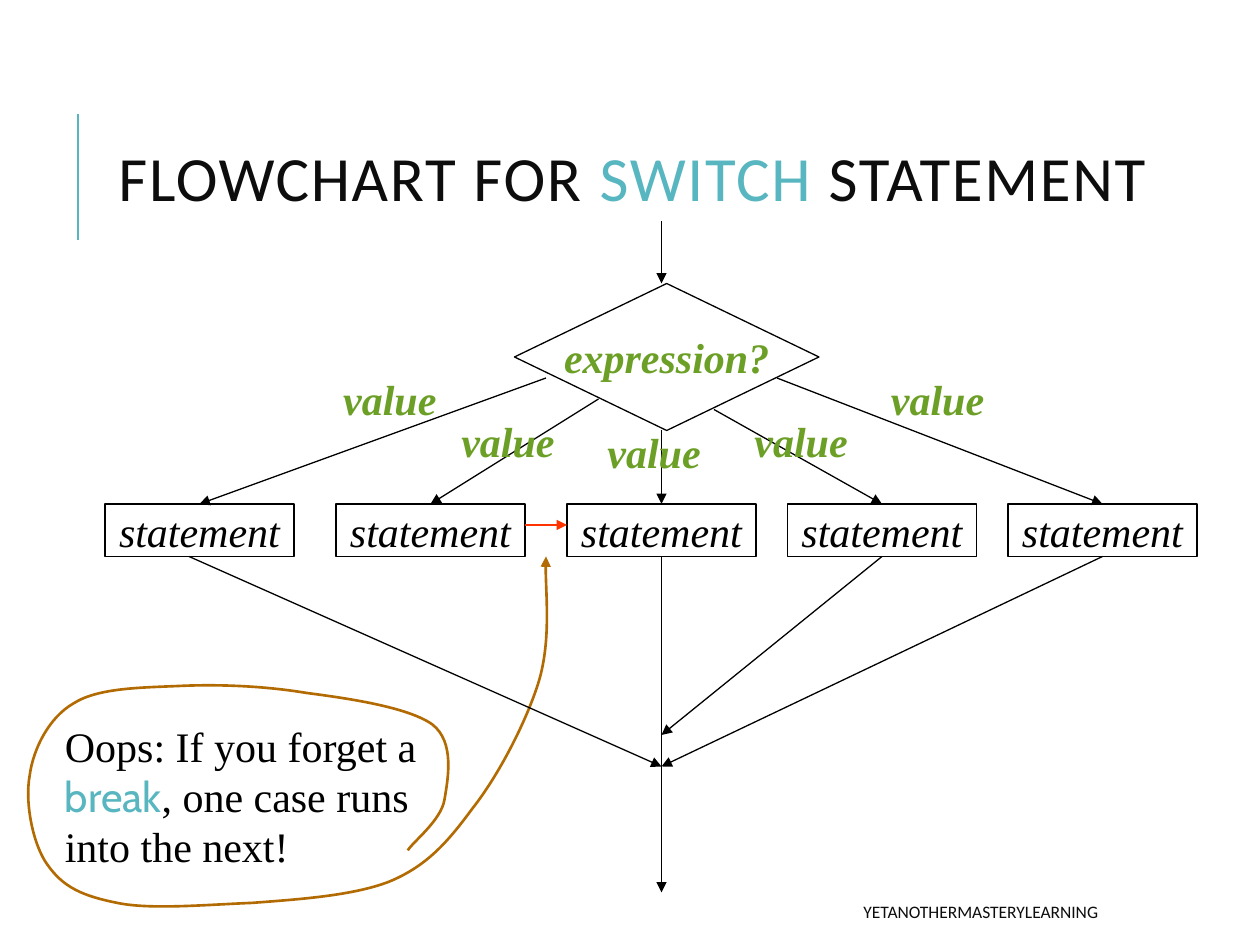
from lxml.etree import SubElement
from pptx import Presentation
from pptx.dml.color import RGBColor
from pptx.enum.shapes import MSO_CONNECTOR, MSO_SHAPE
from pptx.enum.text import MSO_ANCHOR, MSO_AUTO_SIZE, PP_ALIGN
from pptx.oxml.ns import qn
from pptx.util import Pt

TEAL, GREEN, BLACK, INK = "58B6C0", "6B9F25", "000000", "0D0D0D"
SERIF = "Times New Roman"


def color(hex_code):
    """Turn a hex string into a colour."""
    return RGBColor.from_string(hex_code)


def style_run(run, size, name, hex_code, bold=False, italic=False):
    """Format one run of text."""
    font = run.font
    font.size, font.name, font.bold, font.italic = Pt(size), name, bold, italic
    font.color.rgb = color(hex_code)


def style_line(line, hex_code, width=0.75, arrow=None):
    """Colour a line and add an arrowhead at 'head' or 'tail'."""
    line.color.rgb = color(hex_code)
    line.width = Pt(width)
    if arrow:
        ln = line._get_or_add_ln()
        SubElement(ln, qn(f"a:{arrow}End"), type="triangle")


def add_line(slide, start, end, hex_code=BLACK, width=0.75, arrow="tail"):
    """Draw a straight line between two points."""
    connector = slide.shapes.add_connector(
        MSO_CONNECTOR.STRAIGHT, *(Pt(value) for value in (*start, *end)))
    style_line(connector.line, hex_code, width, arrow)
    SubElement(connector._element.spPr, qn("a:effectLst"))


def add_label(slide, box, text, align=PP_ALIGN.CENTER, anchor=MSO_ANCHOR.TOP):
    """Add a wrapping text box and return its text frame."""
    frame = slide.shapes.add_textbox(*(Pt(value) for value in box)).text_frame
    frame.word_wrap = True
    frame.vertical_anchor = anchor
    frame.text = text
    frame.paragraphs[0].alignment = align
    return frame


def add_step(slide, kind, box, text, hex_code, bold=False):
    """Add an outlined flowchart symbol with centred italic text."""
    step = slide.shapes.add_shape(kind, *(Pt(value) for value in box))
    step.shadow.inherit = False
    step.fill.background()
    style_line(step.line, BLACK)
    frame = step.text_frame
    frame.word_wrap = False
    frame.vertical_anchor = MSO_ANCHOR.MIDDLE
    frame.text = text
    frame.paragraphs[0].alignment = PP_ALIGN.CENTER
    style_run(frame.paragraphs[0].runs[0], 24, SERIF, hex_code, bold, True)


def add_heading(slide, left, top, width, height):
    """Place the title and the accent rule to its left."""
    add_line(slide, (left - 16, top + 91), (left - 16, top + 19), TEAL, 1.5, None)
    title = slide.shapes.title
    title.left, title.top, title.width, title.height = map(
        Pt, (left, top, width, height))
    frame = title.text_frame
    frame.auto_size = MSO_AUTO_SIZE.NONE
    frame.word_wrap = True
    frame.vertical_anchor = MSO_ANCHOR.MIDDLE
    paragraph = frame.paragraphs[0]
    paragraph.alignment = PP_ALIGN.LEFT
    paragraph.line_spacing = 0.8
    for words, hex_code in (("FLOWCHART FOR ", INK), ("SWITCH", TEAL),
                            (" STATEMENT", INK)):
        run = paragraph.add_run()
        run.text = words
        style_run(run, 36, "Calibri", hex_code)
        run.font._element.set("spc", "100")


def add_callout(slide, left, top):
    """Place the warning and the curved loop that points to the fall-through."""
    frame = add_label(slide, (left + 16, top + 90, 216, 94), "", PP_ALIGN.LEFT)
    for words, name, hex_code in (("Oops: If you forget a ", SERIF, BLACK),
                                  ("break", "Cabin", TEAL),
                                  (", one case runs into the next!", SERIF, BLACK)):
        run = frame.paragraphs[0].add_run()
        run.text = words
        style_run(run, 24, name, hex_code)

    start = (219, 168)
    curve_points = [
        (222, 163), (238, 151), (240, 139), (242, 127), (246, 106), (233, 96),
        (219, 86), (184, 81), (161, 78), (137, 74), (111, 73), (89, 74),
        (67, 75), (42, 75), (28, 84), (14, 92), (5, 110), (3, 125),
        (0, 141), (5, 165), (13, 176), (22, 189), (33, 194), (53, 198),
        (72, 202), (104, 199), (130, 198), (156, 196), (187, 194), (208, 186),
        (230, 177), (242, 163), (256, 144), (271, 125), (287, 94), (294, 71),
        (301, 47), (297, 14), (298, 0)]
    builder = slide.shapes.build_freeform(*start, scale=Pt(1))
    builder.add_line_segments(curve_points, close=False)
    loop = builder.convert_to_shape(Pt(left), Pt(top))
    loop.shadow.inherit = False
    loop.fill.background()
    style_line(loop.line, "B26B02", 1.5, "tail")
    # Every three straight segments become one Bezier curve.
    segments = list(loop._element.iter(qn("a:lnTo")))
    for index in range(0, len(segments), 3):
        curve = SubElement(segments[index].getparent(), qn("a:cubicBezTo"))
        for segment in segments[index:index + 3]:
            curve.append(segment[0])
            segment.getparent().remove(segment)


def add_flowchart(slide, left, top):
    """Place the decision, its five cases and the arrows that join again."""
    def at(x, y):
        return left + x, top + y

    centers = [54, 186, 318, 444, 570]
    middle, case_top, case_bottom = centers[2], 162, 192
    add_line(slide, at(middle, case_bottom), at(middle, 384))
    add_step(slide, MSO_SHAPE.FLOWCHART_DECISION, (*at(234, 36), 174, 84),
             "expression?", GREEN, True)
    add_line(slide, at(middle, 36), at(middle, 0), arrow="head")

    branch_starts = [(252, 90), (282, 102), (318, 120), (348, 108), (384, 90)]
    for center, start in zip(centers, branch_starts):
        add_step(slide, MSO_SHAPE.FLOWCHART_PROCESS,
                 (*at(center - 54, case_top), 108, 30), "statement", BLACK)
        add_line(slide, at(*start), at(center, case_top))

    for exit_x, merge_y in ((48, 312), (444, 294), (570, 312)):
        add_line(slide, at(exit_x, case_bottom), at(middle, merge_y))
    add_line(slide, at(240, 174), at(264, 174), "FF3300")

    for corner in ((126, 84), (193.5, 108), (277, 114), (361, 108), (439, 84)):
        frame = add_label(slide, (*at(*corner), 73.5, 36), "value")
        style_run(frame.paragraphs[0].runs[0], 24, SERIF, GREEN, True, True)


def add_footer(slide, left, top, width, height):
    """Place the footer line."""
    frame = add_label(slide, (left, top, width, height),
                      "YETANOTHERMASTERYLEARNING", PP_ALIGN.RIGHT,
                      MSO_ANCHOR.MIDDLE)
    style_run(frame.paragraphs[0].runs[0], 10, "Calibri", INK)


presentation = Presentation()
presentation.slide_width, presentation.slide_height = Pt(720), Pt(540)
switch_slide = presentation.slides.add_slide(presentation.slide_layouts[5])
add_heading(switch_slide, 60.5, 46, 654, 118)
add_callout(switch_slide, 14, 318)
add_flowchart(switch_slide, 60, 126)
add_footer(switch_slide, 286, 510, 348.5, 21.5)
presentation.save("out.pptx")
